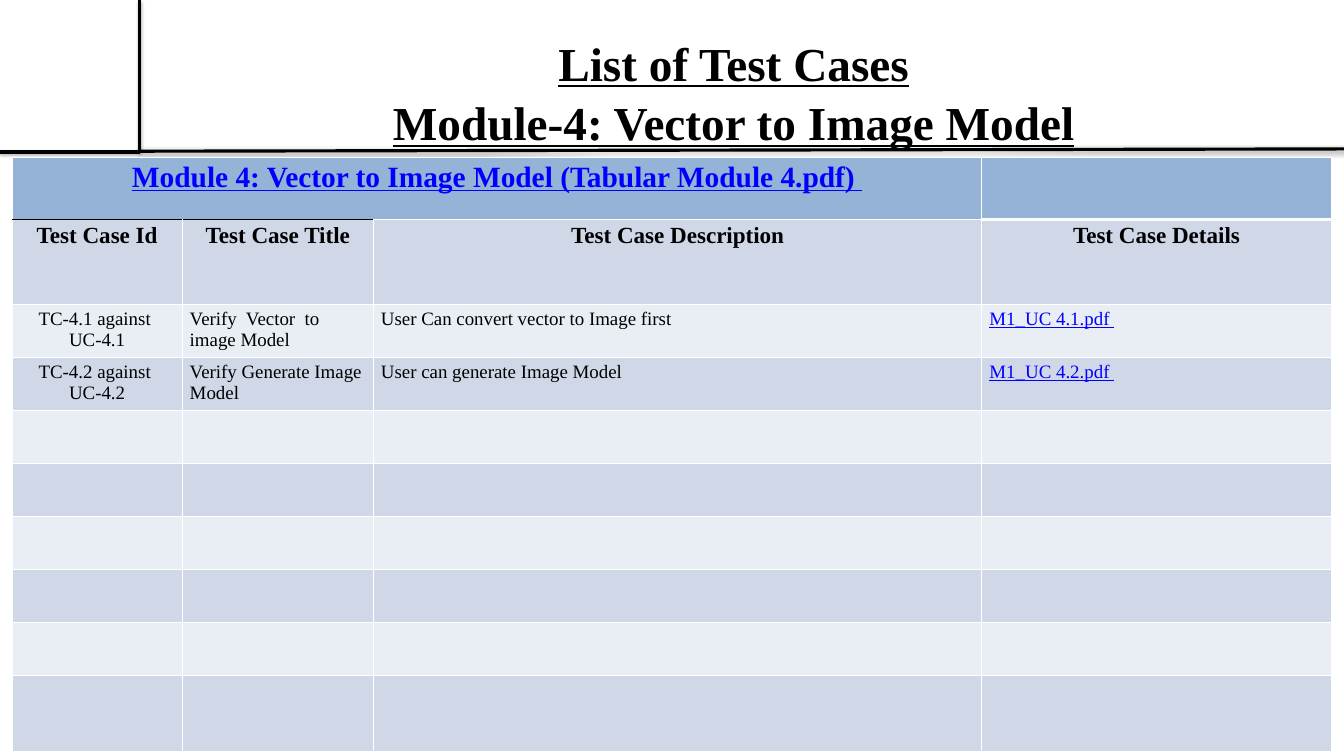
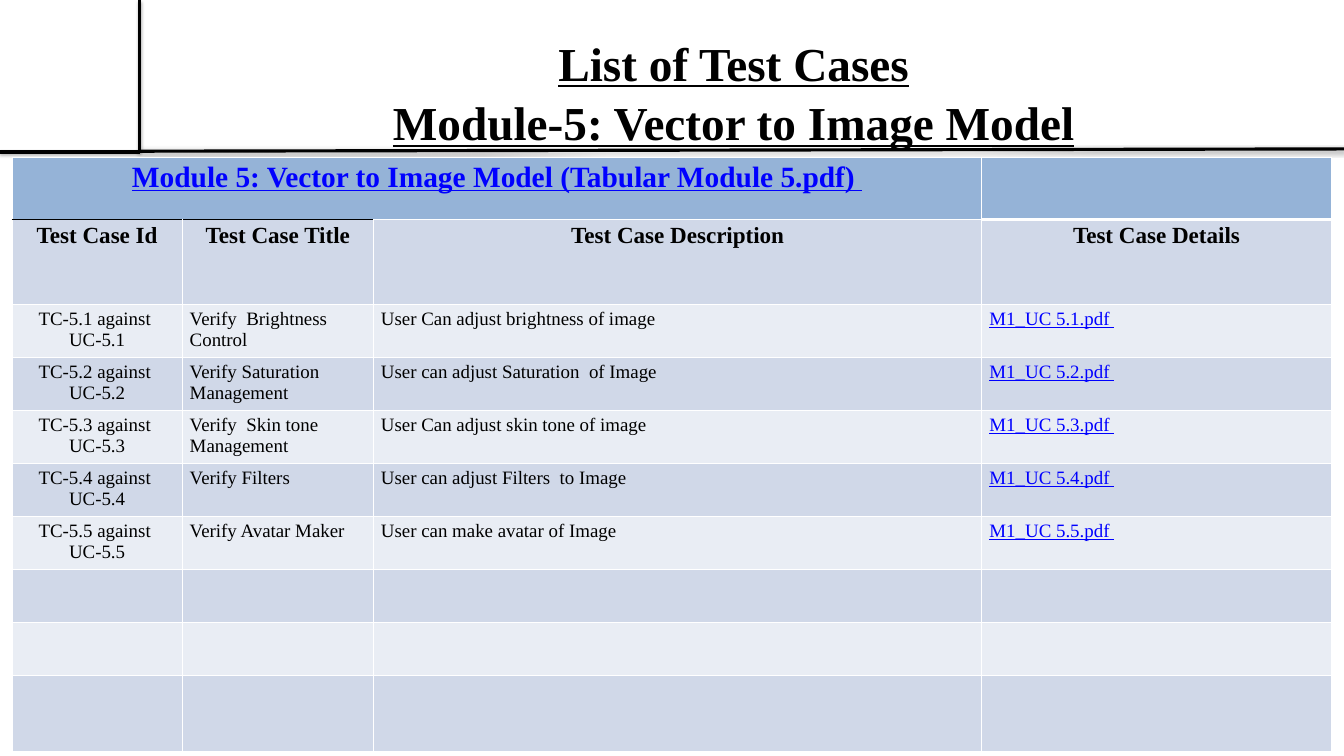
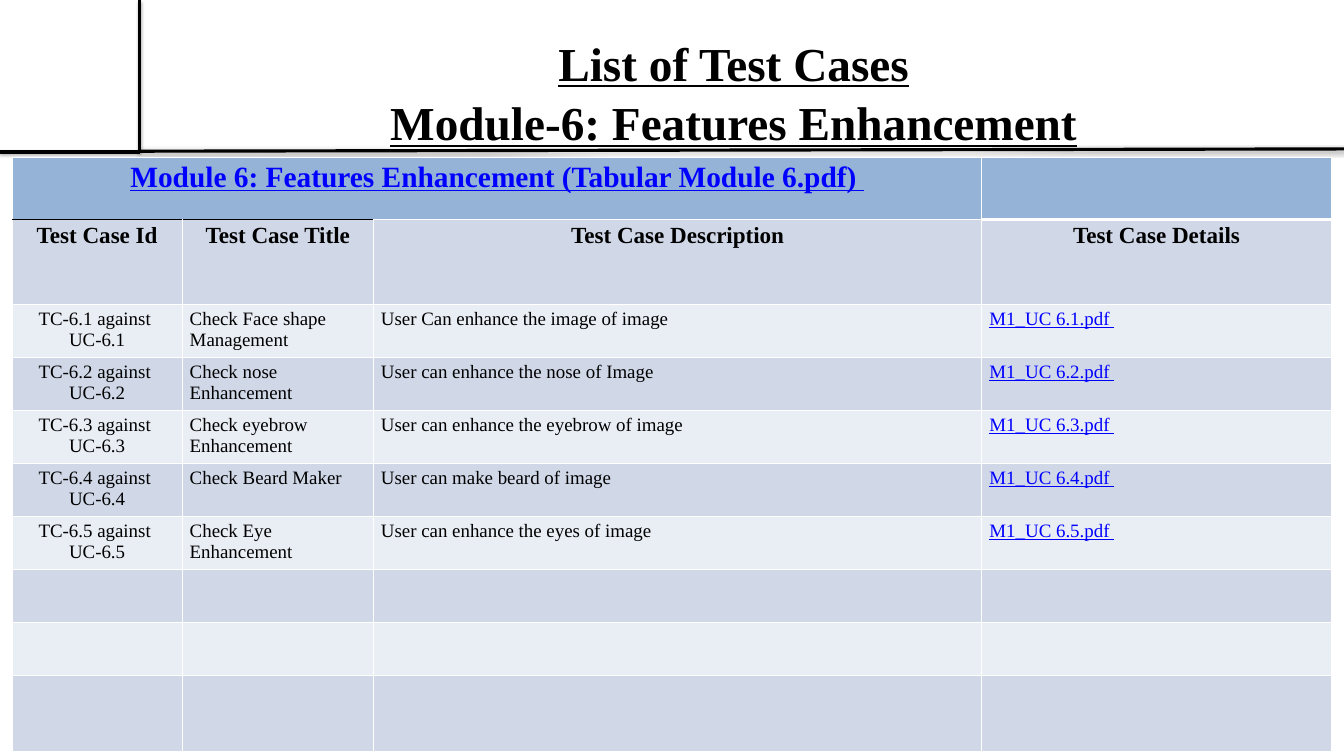
import pptx
import pptx.util
import pptx.dml.color
import pptx.enum.shapes
import pptx.enum.text
import pptx.oxml
import pptx.oxml.ns
from dataclasses import dataclass

Inches = pptx.util.Inches
Pt = pptx.util.Pt
ALIGN = pptx.enum.text.PP_ALIGN
NS = pptx.oxml.ns.nsdecls("a")


@dataclass(frozen=True)
class Theme:
    font: str = "Times New Roman"
    black: str = "000000"
    white: str = "FFFFFF"
    link: str = "0000FF"
    banner: str = "95B3D7"
    bands: tuple = ("D0D8E8", "E9EDF4")
    title: int = 45
    banner_size: int = 28
    head: int = 22
    body: int = 18
    rule: int = 3


T = Theme()
SLIDE = (17.78, 10)
CORNER = (1.85, 2.01)
RULES = [
    ((CORNER[0], 0), CORNER),
    ((0, CORNER[1]), CORNER),
    ((CORNER[0], 2), (SLIDE[0], 1.97)),
]
TITLE_BOX = (2.94, 0.35, 13.53, 1.25)
TABLE_BOX = (0.16, 2.08, 17.45, 7.89)
COLS = [2.25, 2.53, 8.05, 4.62]
ROWS = [0.82, 1.13] + [0.7] * 7 + [1.01]
HEADINGS = ["Test Case Id", "Test Case Title", "Test Case Description", "Test Case Details"]
MODULES = [
    (4, "Vector to Image Model", [
        ("Verify  Vector  to image Model", "User Can convert vector to Image first"),
        ("Verify Generate Image Model", "User can generate Image Model"),
    ]),
    (5, "Vector to Image Model", [
        ("Verify  Brightness Control", "User Can adjust brightness of image"),
        ("Verify Saturation Management", "User can adjust Saturation  of Image"),
        ("Verify  Skin tone Management", "User Can adjust skin tone of image"),
        ("Verify Filters", "User can adjust Filters  to Image"),
        ("Verify Avatar Maker", "User can make avatar of Image"),
    ]),
    (6, "Features Enhancement", [
        ("Check Face shape Management", "User Can enhance the image of image"),
        ("Check nose Enhancement", "User can enhance the nose of Image"),
        ("Check eyebrow Enhancement", "User can enhance the eyebrow of image"),
        ("Check Beard Maker", "User can make beard of image"),
        ("Check Eye Enhancement", "User can enhance the eyes of image"),
    ]),
]


def rgb(color):
    return pptx.dml.color.RGBColor.from_string(color)


def write(tf, text, size, align, color=T.black, bold=False, underline=False):
    tf.text = text
    for p in tf.paragraphs:
        p.alignment = align
        f = p.font
        f.name, f.size, f.bold, f.underline = T.font, Pt(size), bold, underline
        f.color.rgb = rgb(color)
        for r in p.runs:
            r.font.underline = underline


def add_rules(s):
    for start, end in RULES:
        line = s.shapes.add_connector(
            pptx.enum.shapes.MSO_CONNECTOR.STRAIGHT, *map(Inches, start + end))
        line.line.color.rgb = rgb(T.black)
        line.line.width = Pt(T.rule)
        line._element.spPr.append(pptx.oxml.parse_xml(
            f'<a:effectLst {NS}><a:outerShdw blurRad="{Pt(3.1)}" dist="{Pt(1.8)}" '
            f'dir="5400000" rotWithShape="0"><a:srgbClr val="{T.black}">'
            '<a:alpha val="35000"/></a:srgbClr></a:outerShdw></a:effectLst>'))


def add_title(s, box, text):
    tf = s.shapes.add_textbox(*map(Inches, box)).text_frame
    tf.word_wrap = True
    tf.margin_left = tf.margin_right = Inches(0.11)
    tf.margin_top = tf.margin_bottom = Inches(0.06)
    write(tf, text, T.title, ALIGN.CENTER, bold=True, underline=True)
    tf.paragraphs[0].line_spacing = 1.05


def style_cell(cell, fill, top=(T.white, 1), bottom=(T.white, 1)):
    cell.fill.solid()
    cell.fill.fore_color.rgb = rgb(fill)
    plain = (T.white, 1)
    edges = {"lnL": plain, "lnR": plain, "lnT": top, "lnB": bottom}
    for i, (tag, (color, width)) in enumerate(edges.items()):
        cell._tc.get_or_add_tcPr().insert(i, pptx.oxml.parse_xml(
            f'<a:{tag} {NS} w="{Pt(width)}"><a:solidFill><a:srgbClr val="{color}"/>'
            f'</a:solidFill></a:{tag}>'))


def style_table(table):
    for row in range(len(ROWS)):
        for col in range(len(COLS)):
            cell = table.cell(row, col)
            if row == 0:
                bottom = (T.white, T.rule) if col == 3 else (T.black, 1)
                style_cell(cell, T.banner, bottom=bottom)
            else:
                top = (T.black, 1) if row == 1 and col < 2 else (T.white, 1)
                if row == 1 and col == 3:
                    top = (T.white, T.rule)
                style_cell(cell, T.bands[(row - 1) % 2], top=top)


def add_case_table(s, box, number, name, cases):
    table = s.shapes.add_table(len(ROWS), len(COLS), *map(Inches, box)).table
    table.first_row = table.horz_banding = False
    for col, width in zip(table.columns, COLS):
        col.width = Inches(width)
    for row, height in zip(table.rows, ROWS):
        row.height = Inches(height)
    style_table(table)
    table.cell(0, 0).merge(table.cell(0, 2))
    write(table.cell(0, 0).text_frame, f"Module {number}: {name} (Tabular Module {number}.pdf) ",
          T.banner_size, ALIGN.CENTER, T.link, True, True)
    for col, heading in enumerate(HEADINGS):
        write(table.cell(1, col).text_frame, heading, T.head, ALIGN.CENTER, bold=True)
    for i, (title, description) in enumerate(cases, 1):
        case_id = f"{number}.{i}"
        tfs = [table.cell(i + 1, col).text_frame for col in range(len(COLS))]
        write(tfs[0], f"TC-{case_id} against \nUC-{case_id}", T.body, ALIGN.CENTER)
        write(tfs[1], title, T.body, ALIGN.LEFT)
        write(tfs[2], description, T.body, ALIGN.JUSTIFY)
        write(tfs[3], f"M1_UC {case_id}.pdf ", T.body, ALIGN.JUSTIFY, T.link, underline=True)


def add_module_slide(prs, number, name, cases):
    s = prs.slides.add_slide(prs.slide_layouts[6])
    add_rules(s)
    add_title(s, TITLE_BOX, f"List of Test Cases\vModule-{number}: {name}")
    add_case_table(s, TABLE_BOX, number, name, cases)


def main():
    prs = pptx.Presentation()
    prs.slide_width, prs.slide_height = map(Inches, SLIDE)
    for module in MODULES:
        add_module_slide(prs, *module)
    prs.save("out.pptx")


if __name__ == "__main__":
    main()
